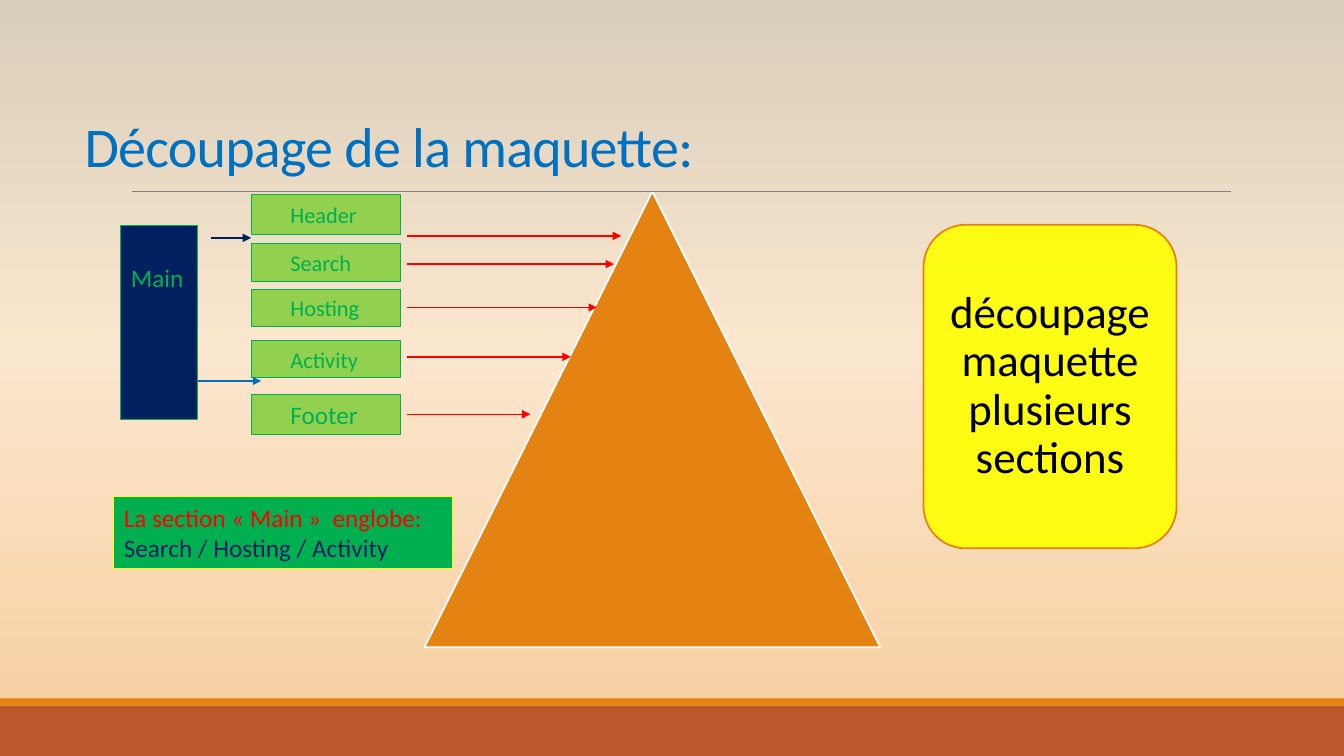
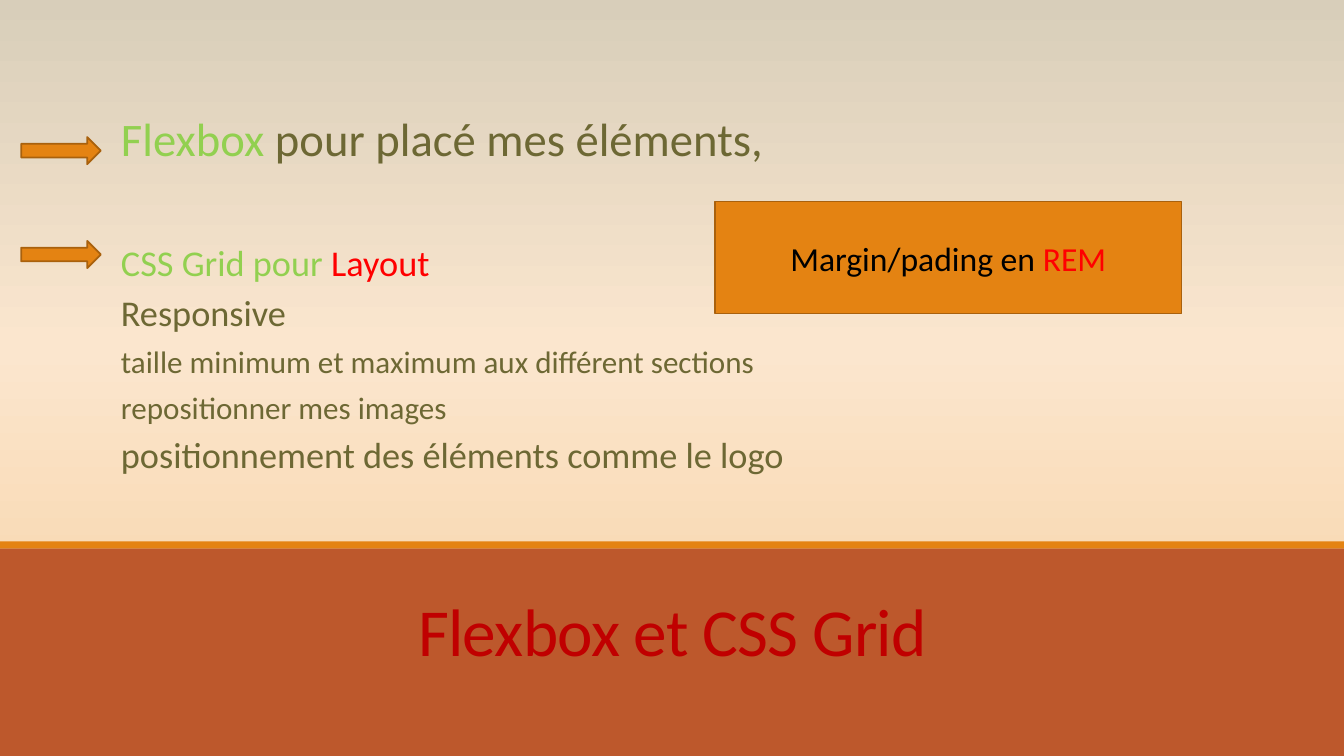
from copy import deepcopy

from lxml import etree
from pptx import Presentation
from pptx import util as u
from pptx.dml.color import RGBColor
from pptx.enum import shapes, text
from pptx.oxml.ns import qn


class Theme:
    font = "Calibri"
    gradient = [(0, "F7CE9D"), (0.54, "FBE6CE"), (1, "D8CEBA")]
    orange, dark_orange, rust = "E48312", "A9610D", "BD582C"
    green, lime, yellow = "00B050", "92D050", "FFFF00"
    navy, blue, red, dark_red = "002060", "0070C0", "FF0000", "C00000"
    olive, grey, white, black = "6D6834", "808080", "FFFFFF", "000000"
    title_size, band_title_size = 40, 48
    callout_size, remark_size, body_size, label_size = 32, 24, 18, 16
    lead_size, point_size, detail_size = 33.3, 25.9, 22.2


SHAPE = shapes.MSO_SHAPE
ALIGN = text.PP_ALIGN
ANCHOR = text.MSO_ANCHOR


def add_box(slide, kind, at, fill, line=None, width=0.75):
    shape = slide.shapes.add_shape(kind, *map(u.Inches, at))
    shape.shadow.inherit = False
    shape.fill.solid()
    shape.fill.fore_color.rgb = RGBColor.from_string(fill)
    if line:
        shape.line.color.rgb = RGBColor.from_string(line)
        shape.line.width = u.Pt(width)
    else:
        shape.line.fill.background()
    return shape


def write(shape, paragraphs, align=ALIGN.LEFT, anchor=ANCHOR.TOP,
          margins=(0.1, 0.05, 0.1, 0.05), spacing=None):
    """Each paragraph is a list of (text, size, colour) runs."""
    frame = shape.text_frame
    frame.word_wrap = True
    frame.vertical_anchor = anchor
    (frame.margin_left, frame.margin_top,
     frame.margin_right, frame.margin_bottom) = map(u.Inches, margins)
    for index, runs in enumerate(paragraphs):
        paragraph = frame.add_paragraph() if index else frame.paragraphs[0]
        paragraph.alignment = align
        if spacing:
            paragraph.line_spacing = spacing
        for words, size, color in runs:
            run = paragraph.add_run()
            run.text = words
            run.font.name = Theme.font
            run.font.size = u.Pt(size)
            run.font.color.rgb = RGBColor.from_string(color)
    return frame


presentation = Presentation()
presentation.slide_width = u.Inches(13.33)
presentation.slide_height = u.Inches(7.5)

# Shared background gradient, on the master
master = presentation.slide_master
background = master.background.fill
background.gradient()
background.gradient_angle = 90
stop_list = next(master._element.iter(qn("a:gsLst")))
stop_list.append(deepcopy(stop_list[-1]))
for stop, (position, color) in zip(background.gradient_stops, Theme.gradient):
    stop.position = position
    stop.color.rgb = RGBColor.from_string(color)

# Shared bands and titles
slides = []
for title, at, size, color, align, anchor, strip_top in [
    ("Découpage de la maquette:", (0.74, 0.92, 11, 0.9), Theme.title_size,
     Theme.blue, ALIGN.LEFT, ANCHOR.BOTTOM, 6.93),
    ("Flexbox et CSS Grid", (1.17, 5.74, 11, 1.13), Theme.band_title_size,
     Theme.dark_red, ALIGN.CENTER, ANCHOR.MIDDLE, 5.37),
]:
    slide = presentation.slides.add_slide(presentation.slide_layouts[6])
    band_top = strip_top + 0.07
    add_box(slide, SHAPE.RECTANGLE, (0, band_top, 13.33, 7.5 - band_top), Theme.rust)
    add_box(slide, SHAPE.RECTANGLE, (0, strip_top, 13.33, 0.07), Theme.orange)
    box = slide.shapes.add_textbox(*map(u.Inches, at))
    frame = write(box, [[(title, size, color)]], align, anchor, spacing=0.85)
    frame.paragraphs[0].runs[0].font._element.set("spc", "-50")
    slides.append(slide)
mockup, layout = slides

# Mockup: triangle and callout
add_box(mockup, SHAPE.ISOSCELES_TRIANGLE, (4.21, 1.9, 4.52, 4.52),
        Theme.orange, Theme.white, 1.25)
callout = add_box(mockup, SHAPE.ROUNDED_RECTANGLE, (9.16, 2.23, 2.51, 3.21),
                  Theme.yellow, Theme.orange, 1.25)
callout_color = callout._element.spPr.find(qn("a:solidFill"))[0]
etree.SubElement(callout_color, qn("a:alpha")).set("val", "90000")
write(callout, [[("découpage maquette plusieurs sections", Theme.callout_size, Theme.black)]],
      ALIGN.CENTER, ANCHOR.MIDDLE, (0.13,) * 4, 0.9)

# Mockup: section labels
for label, top, height, size in [
    ("Header", 1.93, 0.4, Theme.label_size),
    ("Search", 2.42, 0.37, Theme.label_size),
    ("Hosting", 2.87, 0.37, Theme.label_size),
    ("Activity", 3.38, 0.37, Theme.label_size),
    ("Footer", 3.91, 0.4, Theme.body_size),
]:
    section = add_box(mockup, SHAPE.RECTANGLE, (2.49, top, 1.48, height),
                      Theme.lime, Theme.green)
    write(section, [[(label, size, Theme.green)]], anchor=ANCHOR.MIDDLE,
          margins=(0.39, 0.05, 0.1, 0.05))

# Mockup: main block and its note
main_block = add_box(mockup, SHAPE.RECTANGLE, (1.2, 2.24, 0.76, 1.92),
                     Theme.navy, Theme.green)
write(main_block, [[("Main", Theme.body_size, Theme.green)]], margins=(0.1, 0.36, 0, 0.05))
note = add_box(mockup, SHAPE.RECTANGLE, (1.13, 4.93, 3.36, 0.71),
               Theme.green, Theme.yellow)
write(note, [[("La section « Main »  englobe: ", Theme.body_size, Theme.red),
              ("Search / Hosting / Activity", Theme.body_size, Theme.navy)]])

# Mockup: title rule and arrows
for left, right, y, color, width in [
    (1.31, 12.21, 1.9, Theme.grey, 0.5),
    (4.04, 6.16, 2.34, Theme.red, 1),
    (4.04, 6.09, 2.62, Theme.red, 1),
    (4.04, 5.92, 3.05, Theme.red, 1),
    (4.04, 5.66, 3.54, Theme.red, 1),
    (4.04, 5.26, 4.11, Theme.red, 1),
    (2.09, 2.49, 2.36, Theme.navy, 1),
    (1.96, 2.59, 3.78, Theme.blue, 1),
]:
    connector = mockup.shapes.add_connector(
        shapes.MSO_CONNECTOR.STRAIGHT, *map(u.Inches, (left, y, right, y)))
    connector.line.color.rgb = RGBColor.from_string(color)
    connector.line.width = u.Pt(width)
    if color != Theme.grey:
        etree.SubElement(connector.line._get_or_add_ln(), qn("a:tailEnd")).set("type", "triangle")
    etree.SubElement(connector._element.spPr, qn("a:effectLst"))

# Layout: points
points = layout.shapes.add_textbox(*map(u.Inches, (1.2, 1.19, 10.97, 3.8)))
frame = write(points, [
    [("Flexbox ", Theme.lead_size, Theme.lime),
     ("pour placé mes éléments,", Theme.lead_size, Theme.olive)],
    [("CSS Grid pour ", Theme.point_size, Theme.lime),
     ("Layout", Theme.point_size, Theme.red)],
    [("Responsive", Theme.point_size, Theme.olive)],
    [("taille minimum et maximum aux différent sections", Theme.detail_size, Theme.olive)],
    [("repositionner mes images", Theme.detail_size, Theme.olive)],
    [("positionnement des éléments comme le logo", Theme.point_size, Theme.olive)],
], margins=(0, 0.05, 0, 0.05), spacing=0.7)
for paragraph in frame.paragraphs:
    paragraph.space_before = u.Pt(12)
    paragraph.space_after = u.Pt(2)
frame.paragraphs[1].space_before = u.Pt(61)

# Layout: arrows and remark
for top in (1.36, 2.39):
    add_box(layout, SHAPE.RIGHT_ARROW, (0.21, top, 0.79, 0.27),
            Theme.orange, Theme.dark_orange, 1.25)
remark = add_box(layout, SHAPE.RECTANGLE, (7.09, 2, 4.63, 1.11),
                 Theme.orange, Theme.dark_orange, 1.25)
write(remark, [[("Margin/pading en ", Theme.remark_size, Theme.black),
                ("REM", Theme.remark_size, Theme.red)]], ALIGN.CENTER, ANCHOR.MIDDLE)

presentation.save("out.pptx")
